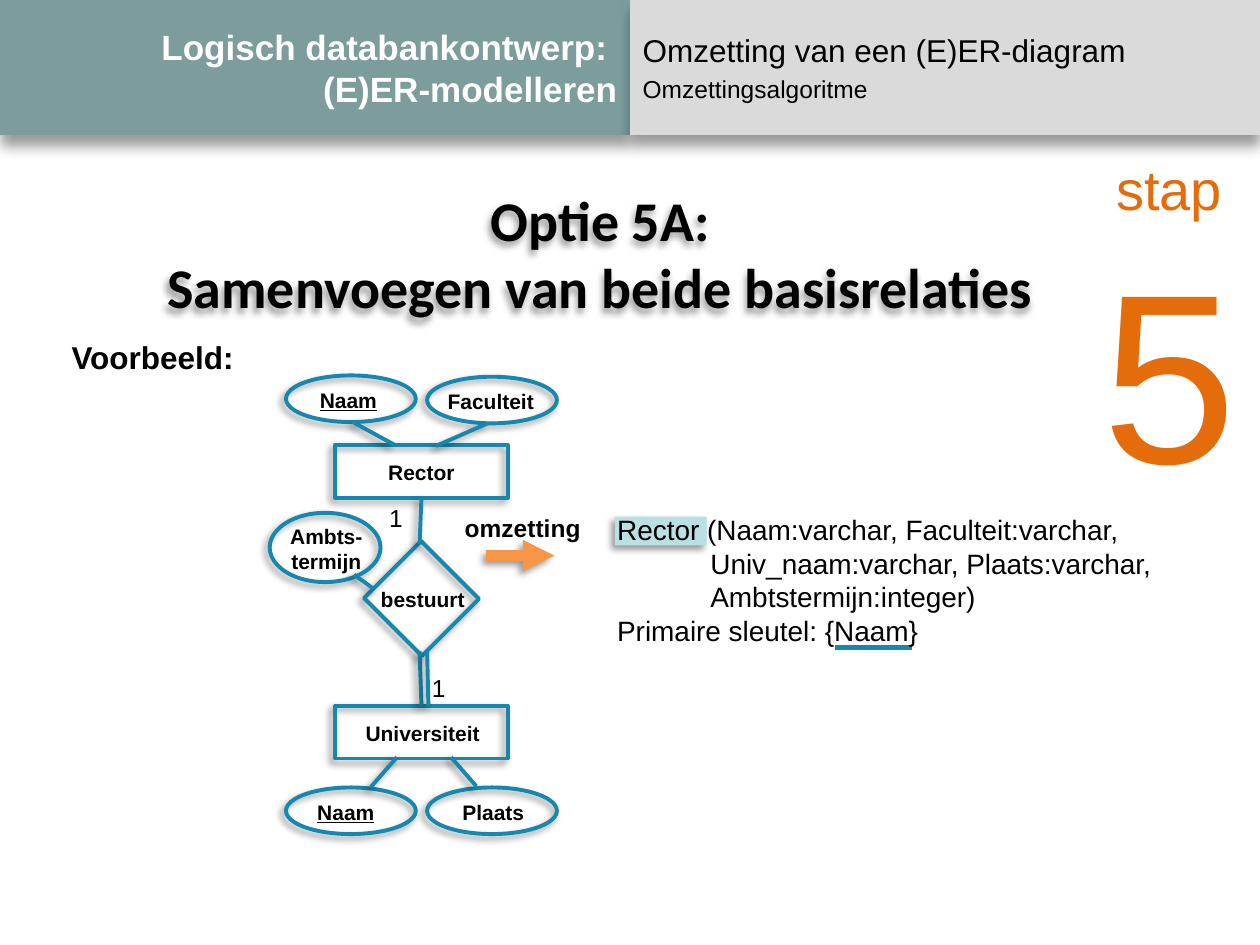
"""Build the slide on option 5A of the conversion of an (E)ER diagram."""
from lxml.etree import SubElement
from pptx import Presentation
from pptx.dml.color import RGBColor
from pptx.enum.shapes import MSO_CONNECTOR, MSO_SHAPE
from pptx.enum.text import MSO_ANCHOR, MSO_AUTO_SIZE, PP_ALIGN
from pptx.oxml.ns import qn
from pptx.util import Inches, Pt

BLACK, WHITE, TEAL, GREY = "000000", "FFFFFF", "7D9D9D", "DADADA"
BLUE, ORANGE, ARROW, HIGHLIGHT = "1687AF", "E46C0A", "F79646", "BBE0E3"
WIDTH, HEIGHT, BAND = 10, 7.5, 1.07
OUTLINE = 2.25

TITLE = ["Logisch databankontwerp: ", "(E)ER-modelleren"]
TOPICS = [("Omzetting van een (E)ER-diagram", 18), ("Omzettingsalgoritme", 14)]
HEADING = ["Optie 5A:", "Samenvoegen van beide basisrelaties"]
STEP = [("stap", 32), ("5", 138)]
RELATION = [
    ("Rector (Naam:varchar, Faculteit:varchar,", 0),
    ("Univ_naam:varchar, Plaats:varchar,", 0.74),
    ("Ambtstermijn:integer)", 0.74),
    ("Primaire sleutel: {Naam}", 0),
]

LEFT, RIGHT, MIDDLE = 2.27, 3.39, 2.66
OVAL, BOX = (1.03, 0.37), (1.37, 0.42)
# lines, preset, left, top, size, rotation, label width, label shift, key
NODES = {
    "rector": (["Rector"], MSO_SHAPE.RECTANGLE, MIDDLE, 3.53, BOX, 0, 0.73, 0, False),
    "universiteit": (["Universiteit"], MSO_SHAPE.RECTANGLE, MIDDLE, 5.6, BOX, 0, 1.12, 0.01, False),
    "bestuurt": (["bestuurt"], MSO_SHAPE.RECTANGLE, 3.02, 4.43, (0.65, 0.64), 45, 0.88, 0.01, False),
    "rector_naam": (["Naam"], MSO_SHAPE.OVAL, LEFT, 2.98, OVAL, 0, 0.66, -0.02, True),
    "faculteit": (["Faculteit"], MSO_SHAPE.OVAL, RIGHT, 2.99, OVAL, 0, 0.89, -0.01, False),
    "ambtstermijn": (["Ambts-", "termijn"], MSO_SHAPE.OVAL, 2.14, 4.07, (0.88, 0.55), 0, 0.78, 0.01, False),
    "univ_naam": (["Naam"], MSO_SHAPE.OVAL, LEFT, 6.25, OVAL, 0, 0.66, -0.04, True),
    "plaats": (["Plaats"], MSO_SHAPE.OVAL, RIGHT, 6.25, OVAL, 0, 0.7, 0.01, False),
}
# start, end, entity and side joined at the start
LINKS = [
    ((3.32, 3.97), (3.33, 4.32), ("rector", 2)),
    ((3.34, 5.6), (3.33, 5.17), ("universiteit", 0)),
    ((3.4, 5.6), (3.39, 5.17), None),
    ((2.96, 4.67), (2.81, 4.56), None),
    ((3.87, 3.36), (3.46, 3.54), None),
    ((3.13, 3.53), (2.8, 3.35), None),
    ((3.15, 6.01), (2.94, 6.25), None),
    ((3.78, 6.24), (3.58, 6.01), None),
]
CARDINALITIES = [(2.99, 3.94), (3.33, 5.29)]


def rgb(color):
    """Turn a hex string into a colour."""
    return RGBColor.from_string(color)


def set_shadow(part, blur=4, distance=3, angle=135):
    """Give a part a soft shadow, or none when blur is zero."""
    effects = SubElement(part._element.spPr, qn("a:effectLst"))
    if blur:
        outer = SubElement(effects, qn("a:outerShdw"), blurRad=str(Pt(blur)),
                           dist=str(Pt(distance)), dir=str(angle * 60000),
                           algn="ctr", rotWithShape="0")
        tint = SubElement(outer, qn("a:srgbClr"), val=BLACK)
        SubElement(tint, qn("a:alpha"), val="40000")


def place(part, left, top, width, height):
    """Move and size a part in inches."""
    part.left, part.top = Inches(left), Inches(top)
    part.width, part.height = Inches(width), Inches(height)


def add_run(paragraph, words, size, color=BLACK, bold=False, underline=False, font="Arial"):
    """Add one formatted run."""
    run = paragraph.add_run()
    run.text = words
    run.font.name, run.font.size = font, Pt(size)
    run.font.bold, run.font.underline = bold, underline
    run.font.color.rgb = rgb(color)


def add_broken_lines(paragraph, lines, size, **style):
    """Add lines parted by line breaks."""
    for number, words in enumerate(lines):
        if number:
            paragraph.add_line_break()
        add_run(paragraph, words, size, **style)


def next_paragraph(frame, number):
    """Return the first paragraph or a new one."""
    return frame.add_paragraph() if number else frame.paragraphs[0]


def add_text(slide, area, lines, align=PP_ALIGN.LEFT, wrap=False, **style):
    """Add a text box with one paragraph per (words, size) pair."""
    box = slide.shapes.add_textbox(*map(Inches, area))
    frame = box.text_frame
    frame.word_wrap, frame.auto_size = wrap, MSO_AUTO_SIZE.SHAPE_TO_FIT_TEXT
    for number, (words, size) in enumerate(lines):
        paragraph = next_paragraph(frame, number)
        paragraph.alignment = align
        add_run(paragraph, words, size, **style)
    return box


def add_line(slide, start, end, color=BLUE, weight=OUTLINE):
    """Add a straight line."""
    line = slide.shapes.add_connector(MSO_CONNECTOR.STRAIGHT, *map(Inches, start + end))
    line.line.color.rgb, line.line.width = rgb(color), Pt(weight)
    return line


def add_header(slide):
    """Fill the two halves of the top band."""
    title, topics = slide.shapes.title, slide.placeholders[1]
    for part, left, color in ((title, 0, TEAL), (topics, WIDTH / 2, GREY)):
        place(part, left, 0, WIDTH / 2, BAND)
        part.fill.solid()
        part.fill.fore_color.rgb = rgb(color)
        set_shadow(part, 8, 6, 90)
        part.text_frame.vertical_anchor = MSO_ANCHOR.MIDDLE
        part.text_frame.auto_size = MSO_AUTO_SIZE.NONE
    paragraph = title.text_frame.paragraphs[0]
    paragraph.alignment = PP_ALIGN.RIGHT
    add_broken_lines(paragraph, TITLE, 20, color=WHITE, bold=True)
    for number, (words, size) in enumerate(TOPICS):
        paragraph = next_paragraph(topics.text_frame, number)
        properties = paragraph._p.get_or_add_pPr()
        properties.set("marL", str(Inches(0.38)))
        properties.set("indent", str(-Inches(0.38)))
        SubElement(properties, qn("a:buNone"))
        paragraph.space_before = Pt(0.2 * size * number)
        add_run(paragraph, words, size)


def add_diagram(slide):
    """Draw the entities, the relationship, the attributes and their links."""
    nodes = {}
    for key, (lines, preset, left, top, size, turn, span, shift, is_key) in NODES.items():
        width, height = size
        tall = 0.1 + 0.2 * len(lines)
        area = (left + (width - span) / 2 + shift, top + (height - tall) / 2 + 0.01, span, tall)
        add_text(slide, area, [(words, 12) for words in lines], PP_ALIGN.CENTER,
                 bold=True, underline=is_key)
        node = slide.shapes.add_shape(preset, *map(Inches, (left, top, width, height)))
        node.rotation = turn
        node.fill.background()
        node.line.color.rgb, node.line.width = rgb(BLUE), Pt(OUTLINE)
        set_shadow(node)
        nodes[key] = node
    for start, end, joint in LINKS:
        link = add_line(slide, start, end)
        if joint:
            link.begin_connect(nodes[joint[0]], joint[1])
        set_shadow(link)
    for left, top in CARDINALITIES:
        add_text(slide, (left, top, 0.31, 0.33), [("1", 14)])


def add_conversion(slide):
    """Show the arrow and the resulting relation."""
    add_text(slide, (3.59, 4.02, 1.13, 0.34), [("omzetting", 14)], bold=True)
    arrow = add_line(slide, (3.86, 4.41), (4.4, 4.41), ARROW, 6)
    SubElement(arrow.line._get_or_add_ln(), qn("a:tailEnd"), type="triangle")
    set_shadow(arrow)
    highlight = slide.shapes.add_shape(MSO_SHAPE.RECTANGLE, *map(Inches, (4.88, 4.1, 0.73, 0.23)))
    highlight.fill.solid()
    highlight.fill.fore_color.rgb = rgb(HIGHLIGHT)
    highlight.line.fill.background()
    set_shadow(highlight)
    set_shadow(add_line(slide, (6.63, 5.14), (7.24, 5.14), weight=3), 0)
    relation = add_text(slide, (4.8, 4.02, 4.94, 1.18), [(words, 16) for words, _ in RELATION], wrap=True)
    for paragraph, (_, indent) in zip(relation.text_frame.paragraphs, RELATION):
        paragraph._p.get_or_add_pPr().set("marL", str(Inches(indent)))


def main():
    """Build and save the slide."""
    deck = Presentation()
    deck.slide_width, deck.slide_height = Inches(WIDTH), Inches(HEIGHT)
    slide = deck.slides.add_slide(deck.slide_layouts[1])
    add_header(slide)
    add_text(slide, (8.64, 1.18, 1.28, 2.96), STEP, PP_ALIGN.CENTER, color=ORANGE)
    add_text(slide, (0.47, 2.63, 1.5, 0.4), [("Voorbeeld:", 18)], bold=True)
    heading = add_text(slide, (1.2, 1.42, 7.13, 1.18), [], PP_ALIGN.CENTER)
    paragraph = heading.text_frame.paragraphs[0]
    paragraph.alignment = PP_ALIGN.CENTER
    add_broken_lines(paragraph, HEADING, 32, bold=True, font="Calibri")
    set_shadow(heading)
    add_conversion(slide)
    add_diagram(slide)
    deck.save("out.pptx")


if __name__ == "__main__":
    main()
